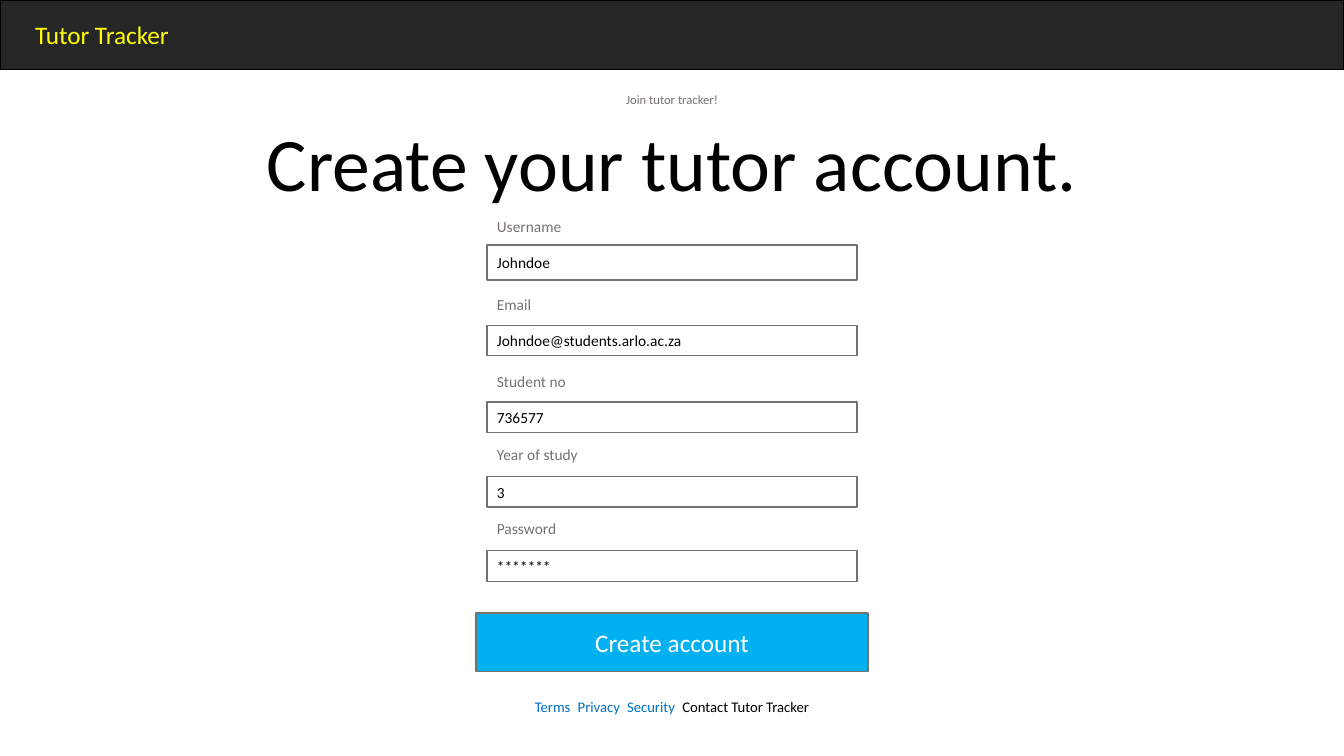
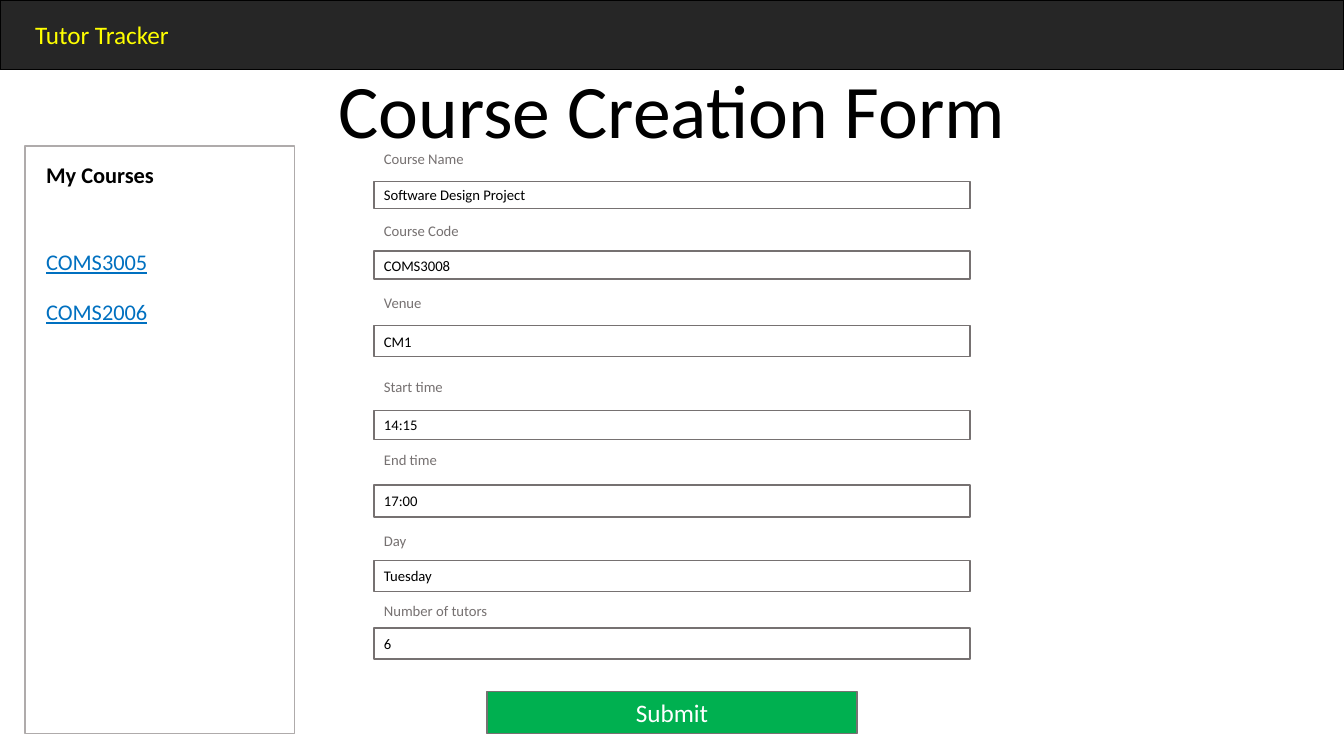
from dataclasses import dataclass
from typing import NamedTuple

from pptx import Presentation
from pptx.dml.color import RGBColor
from pptx.enum.shapes import MSO_SHAPE
from pptx.enum.text import MSO_ANCHOR, MSO_AUTO_SIZE, PP_ALIGN
from pptx.slide import Slide
from pptx.text.text import TextFrame
from pptx.util import Inches, Pt

RECTANGLE = MSO_SHAPE.RECTANGLE
MIDDLE = MSO_ANCHOR.MIDDLE
GROW = MSO_AUTO_SIZE.SHAPE_TO_FIT_TEXT
LEFT, CENTER = PP_ALIGN.LEFT, PP_ALIGN.CENTER


@dataclass(frozen=True)
class Theme:
    font: str = "Calibri"
    white: str = "FFFFFF"
    black: str = "000000"
    band: str = "262626"
    brand: str = "FFFF00"
    grey: str = "767171"
    panel_line: str = "AFABAB"
    link: str = "0070C0"
    create: str = "00B0F0"
    submit: str = "00B050"
    title_size: float = 54
    action_size: float = 18
    panel_size: float = 16
    field_size: float = 11
    small_size: float = 10.5
    tagline_size: float = 9
    line_width: float = 1


THEME = Theme()
SLIDE_WIDTH, SLIDE_HEIGHT = 13.33, 7.5
BAND_HEIGHT = 0.69


class Box(NamedTuple):
    left: float
    top: float
    width: float
    height: float


class Run(NamedTuple):
    text: str
    size: float
    color: str
    bold: bool = False
    underline: bool = False


class Field(NamedTuple):
    label: str
    label_top: float
    label_height: float
    value: str
    value_top: float
    value_height: float


class Form(NamedTuple):
    left: float
    width: float
    size: float
    fields: tuple[Field, ...]


ACCOUNT_FORM = Form(4.83, 3.67, THEME.field_size, (
    Field("Username", 2.13, 0.23, "Johndoe", 2.43, 0.35),
    Field("Email", 2.87, 0.3, "Johndoe@students.arlo.ac.za", 3.23, 0.3),
    Field("Student no", 3.63, 0.3, "736577", 3.99, 0.3),
    Field("Year of study", 4.36, 0.3, "3", 4.73, 0.3),
    Field("Password", 5.09, 0.3, "*******", 5.46, 0.31),
))
COURSE_FORM = Form(3.71, 5.91, THEME.small_size, (
    Field("Course Name", 1.42, 0.3, "Software Design Project", 1.8, 0.27),
    Field("Course Code", 2.15, 0.28, "COMS3008", 2.49, 0.28),
    Field("Venue", 2.89, 0.23, "CM1", 3.23, 0.31),
    Field("Start time", 3.72, 0.23, "14:15", 4.07, 0.29),
    Field("End time", 4.41, 0.29, "17:00", 4.81, 0.32),
    Field("Day", 5.22, 0.28, "Tuesday", 5.56, 0.31),
    Field("Number of tutors", 5.92, 0.28, "6", 6.23, 0.31),
))


# Drawing helpers
def write_runs(frame: TextFrame, runs: tuple[Run, ...], align: PP_ALIGN) -> None:
    frame.word_wrap = True
    paragraph = frame.paragraphs[0]
    paragraph.alignment = align
    for item in runs:
        run = paragraph.add_run()
        run.text = item.text
        run.font.name = THEME.font
        run.font.size = Pt(item.size)
        run.font.color.rgb = RGBColor.from_string(item.color)
        run.font.bold = item.bold
        run.font.underline = item.underline


def draw_box(slide: Slide, box: Box, *runs: Run, fill: str = THEME.white,
             line: str | None = None, align: PP_ALIGN = LEFT) -> None:
    rect = slide.shapes.add_shape(RECTANGLE, *map(Inches, box))
    rect.shadow.inherit = False
    rect.fill.solid()
    rect.fill.fore_color.rgb = RGBColor.from_string(fill)
    if line is None:
        rect.line.fill.background()
    else:
        rect.line.color.rgb = RGBColor.from_string(line)
        rect.line.width = Pt(THEME.line_width)
    if runs:
        rect.text_frame.vertical_anchor = MIDDLE
        write_runs(rect.text_frame, runs, align)


def draw_header(slide: Slide) -> None:
    draw_box(slide, Box(0, 0, SLIDE_WIDTH, BAND_HEIGHT), fill=THEME.band, line=THEME.black)
    brand = slide.shapes.add_textbox(*map(Inches, Box(0.25, 0.14, 1.68, 0.4)))
    write_runs(brand.text_frame,
               (Run("Tutor Tracker", THEME.action_size, THEME.brand),), LEFT)
    brand.text_frame.auto_size = GROW


def draw_title(slide: Slide, title: str, top: float) -> None:
    draw_box(slide, Box(0, top, SLIDE_WIDTH, BAND_HEIGHT),
             Run(title, THEME.title_size, THEME.black), align=CENTER)


def draw_form(slide: Slide, form: Form) -> None:
    for field in form.fields:
        draw_box(slide, Box(form.left, field.label_top, form.width, field.label_height),
                 Run(field.label, form.size, THEME.grey), line=THEME.white)
        draw_box(slide, Box(form.left, field.value_top, form.width, field.value_height),
                 Run(field.value, form.size, THEME.black), line=THEME.grey)


def draw_button(slide: Slide, box: Box, caption: str, fill: str) -> None:
    draw_box(slide, box, Run(caption, THEME.action_size, THEME.white),
             fill=fill, line=THEME.grey, align=CENTER)


def draw_course_panel(slide: Slide, courses: tuple[str, ...]) -> None:
    left, width = 0.36, 2.44
    draw_box(slide, Box(0.25, 1.45, 2.67, 5.83), line=THEME.panel_line)
    draw_box(slide, Box(left, 1.51, width, 0.44),
             Run("My Courses", THEME.panel_size, THEME.black, bold=True), line=THEME.white)
    for row, course in enumerate(courses):
        draw_box(slide, Box(left, 2.42 + 0.5 * row, width, 0.35),
                 Run(course, THEME.panel_size, THEME.link, underline=True),
                 line=THEME.white)


# Slides
def build_account_slide(slide: Slide) -> None:
    draw_header(slide)
    draw_box(slide, Box(4.83, 0.78, 3.67, 0.42),
             Run("Join tutor tracker!", THEME.tagline_size, THEME.grey), align=CENTER)
    draw_title(slide, "Create your tutor account.", 1.25)
    draw_form(slide, ACCOUNT_FORM)
    draw_button(slide, Box(4.72, 6.08, 3.89, 0.58), "Create account", THEME.create)
    # En spaces separate the footer links
    draw_box(slide, Box(4.83, 6.8, 3.67, 0.42),
             Run("Terms\u2002Privacy\u2002Security", THEME.small_size, THEME.link),
             Run("\u2002Contact Tutor Tracker", THEME.small_size, THEME.black),
             line=THEME.white, align=CENTER)


def build_course_slide(slide: Slide) -> None:
    draw_header(slide)
    draw_title(slide, "Course Creation Form", 0.73)
    draw_form(slide, COURSE_FORM)
    draw_button(slide, Box(4.83, 6.86, 3.67, 0.42), "Submit", THEME.submit)
    draw_course_panel(slide, ("COMS3005", "COMS2006"))


deck = Presentation()
deck.slide_width, deck.slide_height = Inches(SLIDE_WIDTH), Inches(SLIDE_HEIGHT)
blank = deck.slide_layouts[6]
for build in (build_account_slide, build_course_slide):
    build(deck.slides.add_slide(blank))
deck.save("out.pptx")
